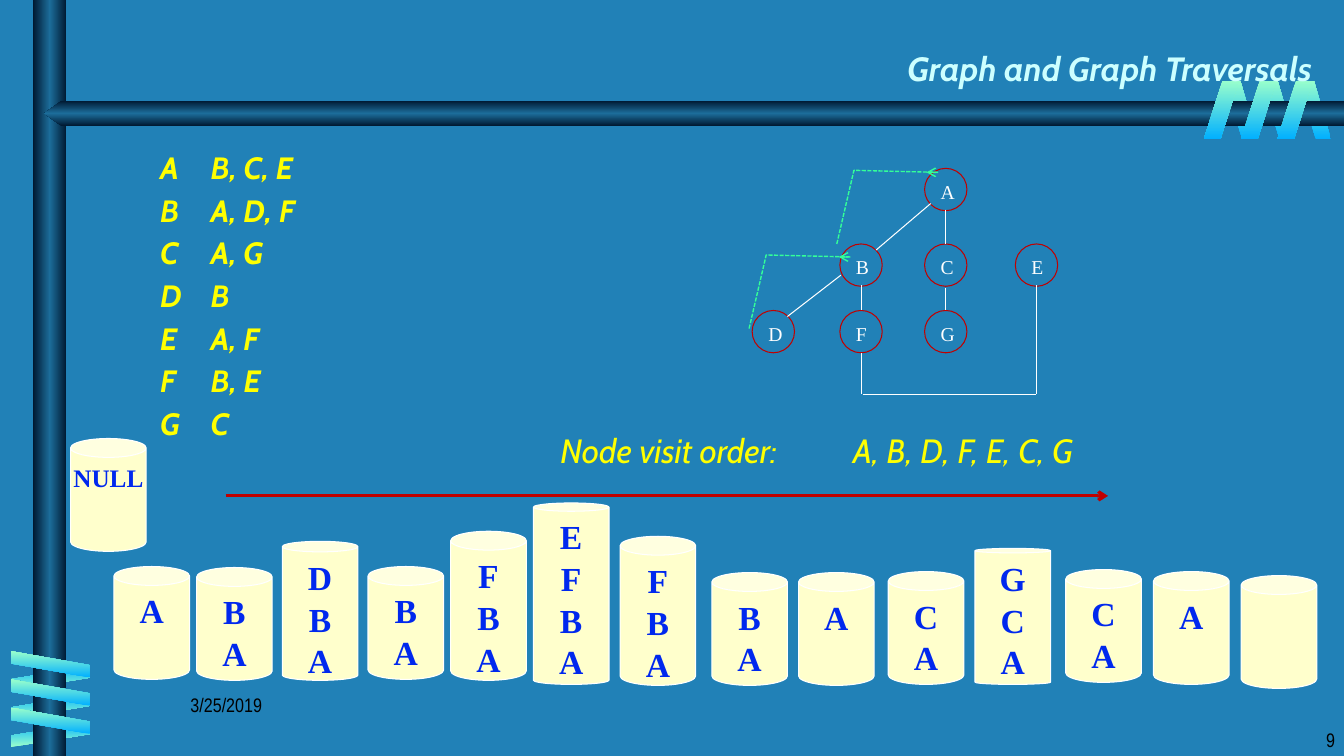
from lxml.etree import SubElement
from pptx import Presentation
from pptx.dml.color import RGBColor
from pptx.enum.dml import MSO_LINE
from pptx.enum.shapes import MSO_CONNECTOR, MSO_SHAPE
from pptx.enum.text import MSO_ANCHOR, PP_ALIGN
from pptx.oxml import parse_xml
from pptx.oxml.ns import nsdecls, qn
from pptx.util import Pt

SCALE = 9144  # EMU per px, 100 px to the inch
BLUE, MINT = "01B0FF", "99FFCC"
BAR = ("001932", "1C6D9A", "001932")
SERIF, SANS, SMALL = "Times New Roman", "Cabin", "Arial Narrow"
SEA, WHITE, RED, YELLOW = "2181B7", "FFFFFF", "C00000", "FFFF00"


def px(n):
    return int(n * SCALE)


def rgb(code):
    return RGBColor.from_string(code)


def write(frame, rows, size, font, color, bold=False, slant=False,
          align=PP_ALIGN.LEFT, gap=0, anchor=MSO_ANCHOR.TOP, wrap=True):
    frame.word_wrap = wrap
    frame.vertical_anchor = anchor
    for i, row in enumerate(rows):
        para = frame.add_paragraph() if i else frame.paragraphs[0]
        para.alignment = align
        para.space_before = Pt(gap if i else 0)
        run = para.add_run()
        run.text = row
        run.font.size, run.font.name = Pt(size), font
        run.font.bold, run.font.italic = bold, slant
        run.font.color.rgb = rgb(color)


def label(slide, box, rows, *style, **more):
    text = slide.shapes.add_textbox(*map(px, box))
    write(text.text_frame, rows, *style, **more)
    return text


def shape(slide, kind, box, adjust=None):
    item = slide.shapes.add_shape(kind, *map(px, box))
    item.shadow.inherit = False
    if adjust is not None:
        item.adjustments[0] = adjust
    return item


def solid(item, fill, line):
    item.fill.solid()
    item.fill.fore_color.rgb = rgb(fill)
    item.line.color.rgb = rgb(line)
    item.line.width = Pt(0.75)


def blend(slide, kind, box, colors, angle, adjust=None, turn=0, flip=False):
    item = shape(slide, kind, box, adjust)
    item.rotation = turn
    item.line.fill.background()
    props = item._element.spPr
    if flip:
        props.xfrm.set("flipH", "1")
    step = 100000 // (len(colors) - 1)
    stops = "".join(
        f'<a:gs pos="{i * step}"><a:srgbClr val="{c}"/></a:gs>'
        for i, c in enumerate(colors))
    props.prstGeom.addnext(parse_xml(
        f'<a:gradFill {nsdecls("a")} rotWithShape="1"><a:gsLst>{stops}</a:gsLst>'
        f'<a:lin ang="{angle * 60000}" scaled="0"/></a:gradFill>'))


def arrow(item):
    SubElement(item.line._get_or_add_ln(), qn("a:tailEnd"), type="arrow")


def line(slide, ends, color=WHITE, width=0.75):
    item = slide.shapes.add_connector(MSO_CONNECTOR.STRAIGHT, *map(px, ends))
    item.line.color.rgb = rgb(color)
    item.line.width = Pt(width)
    SubElement(item._element.spPr, qn("a:effectLst"))
    return item


def node(slide, name, x, y):
    item = shape(slide, MSO_SHAPE.OVAL, (x, y, 42, 42))
    solid(item, SEA, RED)
    write(item.text_frame, [name], 14, SERIF, WHITE, wrap=False)


def can(slide, x, y, high, rows, adjust=0.25, size=24):
    item = shape(slide, MSO_SHAPE.CAN, (x, y, 75, high), adjust)
    solid(item, "FFFFCC", WHITE)
    if rows:
        write(item.text_frame, rows, size, SERIF, "0028EE", bold=True,
              align=PP_ALIGN.CENTER, gap=1, wrap=False)


def trace(slide, x, y):
    """Dashed way back from a child to its parent."""
    pen = slide.shapes.build_freeform(x, y, scale=SCALE)
    pen.add_line_segments(
        [(x + 17, y - 73), (x + 100, y - 71), (x + 89, y - 71)], close=False)
    item = pen.convert_to_shape()
    item.shadow.inherit = False
    item.fill.background()
    item.line.color.rgb = rgb("33FF99")
    item.line.width = Pt(1)
    item.line.dash_style = MSO_LINE.SQUARE_DOT
    arrow(item)


def frame(slide):
    slant = MSO_SHAPE.PARALLELOGRAM
    # Rear ribbons
    for x in (1288, 1252, 1215):
        blend(slide, slant, (x, 80, 32, 58), (BLUE, MINT), 90, 0.53, 180, True)
    for i in range(3):
        blend(slide, slant, (38, 634 + 28 * i, 24, 78), (MINT, BLUE), 0,
              0.53, 90, True)
    # Bars
    blend(slide, MSO_SHAPE.RECTANGLE, (33, 0, 33, 750), BAR, 0)
    blend(slide, MSO_SHAPE.PENTAGON, (44, 100, 1289, 25), BAR, 90, 0.68,
          flip=True)
    # Front ribbons
    for i in range(3):
        blend(slide, slant, (37, 620 + 28 * i, 26, 78), (BLUE, MINT), 0,
              0.53, 270)
    for x in (1267, 1231, 1194):
        blend(slide, slant, (x, 80, 35, 58), (MINT, BLUE), 90, 0.53)


def graph(slide):
    cols, rows = (746, 833, 917, 1007), (167, 242, 308)
    for name, col, row in (("A", 2, 0), ("B", 1, 1), ("C", 2, 1), ("E", 3, 1),
                           ("D", 0, 2), ("F", 1, 2), ("G", 2, 2)):
        node(slide, name, cols[col], rows[row])
    for ends in ((854, 283, 854, 308), (869, 248, 923, 202),
                 (938, 208, 938, 242), (938, 286, 938, 308),
                 (781, 314, 834, 273), (854, 391, 854, 350),
                 (856, 391, 1028, 391), (1028, 391, 1028, 283)):
        line(slide, ends)


def stacks(slide):
    for x, y, high, names, *adjust in (
            (113, 562, 112, "A"), (195, 563, 112, "BA"),
            (280, 537, 138, "DBA", 0.14), (365, 562, 112, "BA"),
            (447, 527, 148, "FBA"), (529, 499, 180, "EFBA", 0.11),
            (615, 532, 148, "FBA"), (706, 568, 112, "BA"),
            (792, 568, 112, "A"), (881, 567, 112, "CA"),
            (967, 544, 135, "GCA", 0.06), (1057, 565, 112, "CA"),
            (1144, 567, 112, "A"), (1231, 571, 112, "")):
        can(slide, x, y, high, names, *adjust)
    can(slide, 70, 435, 112, ["NULL"], size=18)


def main():
    deck = Presentation()
    deck.slide_width, deck.slide_height = px(1333), px(750)
    slide = deck.slides.add_slide(deck.slide_layouts[6])
    slide.background.fill.solid()
    slide.background.fill.fore_color.rgb = rgb(SEA)
    frame(slide)

    # Title, list of edges, footer
    label(slide, (89, 17, 1222, 75), ["Graph and Graph Traversals"], 24, SANS,
          "CCFFFF", bold=True, slant=True, align=PP_ALIGN.RIGHT,
          anchor=MSO_ANCHOR.BOTTOM)
    edges = {"A": "B, C, E", "B": "A, D, F", "C": "A, G", "D": "B",
             "E": "A, F", "F": "B, E", "G": "C"}
    label(slide, (99, 143, 1211, 536),
          [f"\t{name}\t{near}" for name, near in edges.items()],
          22, SANS, YELLOW, bold=True, slant=True, gap=4)
    label(slide, (179, 683, 278, 50), ["3/25/2019"], 14, SMALL, "000000")
    label(slide, (1056, 717, 278, 33), ["9"], 14, SMALL, "000000",
          align=PP_ALIGN.RIGHT)

    graph(slide)
    stacks(slide)

    # Visit order
    arrow(line(slide, (224, 492, 1099, 492), RED, 2.25))
    visit = label(slide, (546, 422, 727, 50),
                  ["Node visit order:\tA, B, D, F, E, C, G"], 24, SANS,
                  YELLOW, slant=True)
    props = visit.text_frame.paragraphs[0]._p.get_or_add_pPr()
    tabs = SubElement(props, qn("a:tabLst"))
    SubElement(tabs, qn("a:tab"), pos=str(px(290)), algn="l")

    trace(slide, 743, 326)
    trace(slide, 830, 242)
    deck.save("out.pptx")


if __name__ == "__main__":
    main()
